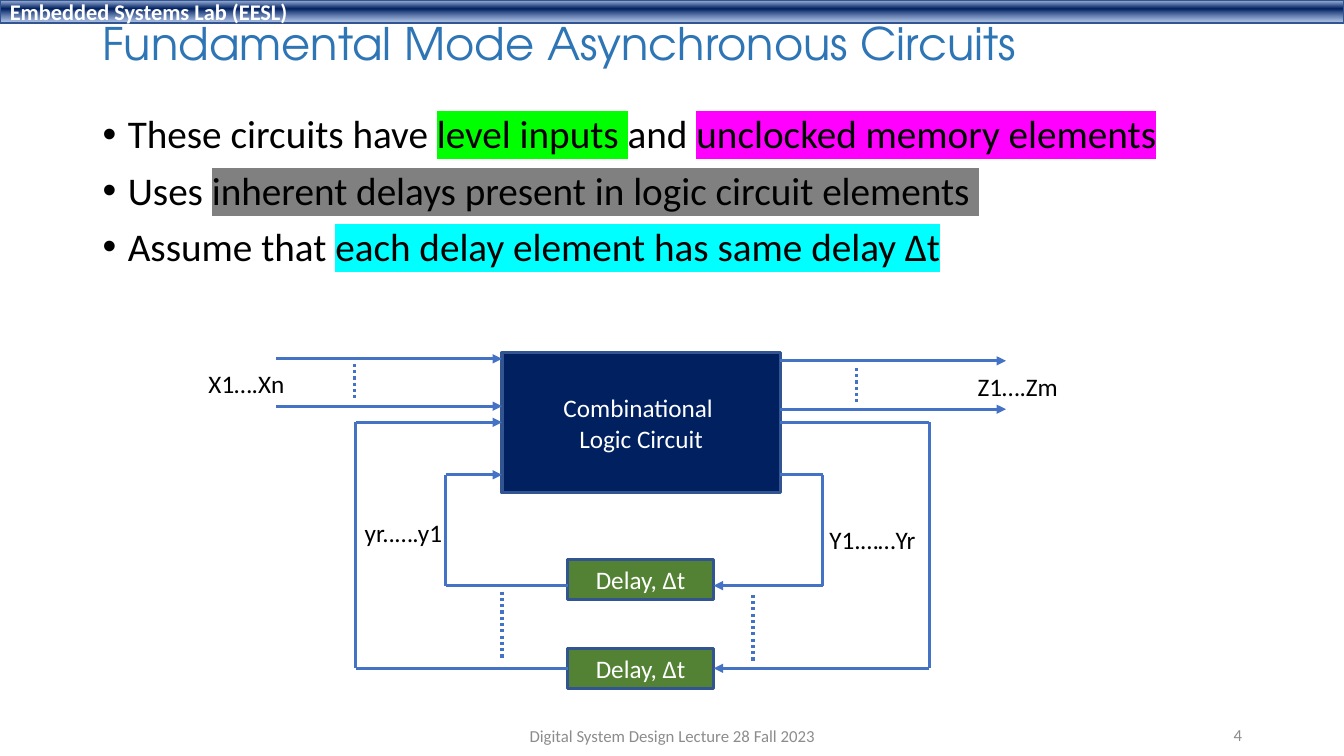
import dataclasses

import lxml.etree
import pptx
import pptx.dml.color
import pptx.enum.dml
import pptx.enum.shapes
import pptx.enum.text
import pptx.oxml
import pptx.oxml.ns
import pptx.util

qn = pptx.oxml.ns.qn
SHAPE = pptx.enum.shapes.MSO_SHAPE
ALIGN = pptx.enum.text.PP_ALIGN
ANCHOR = pptx.enum.text.MSO_ANCHOR
CELL = pptx.util.Inches(0.1)  # the slide is a grid of square cells
COLS, ROWS = 133.33, 75


@dataclasses.dataclass(frozen=True)
class Theme:
    body_font: str = "Calibri"
    title_font: str = "TeX Gyre Adventor"
    title: str = "2E75B6"
    text: str = "000000"
    light: str = "FFFFFF"
    muted: str = "8C8C8C"
    block: str = "002060"
    delay: str = "548235"
    outline: str = "325491"
    wire: str = "4472C4"
    band: tuple = ((2, "ABC0E4", 100), (38, "002060", 100), (93, "7E9ED6", 64))
    title_size: int = 32
    bullet_size: int = 28
    label_size: int = 18
    band_size: int = 16
    footer_size: int = 12
    line_width: float = 2.25


THEME = Theme()


@dataclasses.dataclass(frozen=True)
class Box:
    x: float
    y: float
    w: float
    h: float

    def inner(self, x, y, w, h):
        return Box(self.x + x, self.y + y, w, h)

    def emu(self):
        return [round(v * CELL) for v in (self.x, self.y, self.w, self.h)]


def rgb(value):
    return pptx.dml.color.RGBColor.from_string(value)


def add_run(p, text, size, color, font=THEME.body_font, bold=None, highlight=None):
    r = p.add_run()
    r.text = text
    r.font.size = pptx.util.Pt(size)
    r.font.bold = bold
    r.font.color.rgb = rgb(color)
    if highlight:
        mark = lxml.etree.SubElement(r.font._element, qn("a:highlight"))
        lxml.etree.SubElement(mark, qn("a:srgbClr"), val=highlight)
    r.font.name = font


def add_text(s, box, text, size, color, font=THEME.body_font,
             align=ALIGN.LEFT, anchor=ANCHOR.MIDDLE, wrap=True):
    tf = s.shapes.add_textbox(*box.emu()).text_frame
    tf.word_wrap = wrap
    tf.vertical_anchor = anchor
    p = tf.paragraphs[0]
    p.alignment = align
    add_run(p, text, size, color, font)
    return tf


def add_block(s, box, lines, fill, size=THEME.label_size, width=THEME.line_width,
              align=ALIGN.CENTER, bold=None):
    sp = s.shapes.add_shape(SHAPE.RECTANGLE, *box.emu())
    sp.shadow.inherit = False
    sp.fill.solid()
    sp.fill.fore_color.rgb = rgb(fill)
    sp.line.color.rgb = rgb(THEME.outline)
    sp.line.width = pptx.util.Pt(width)
    tf = sp.text_frame
    tf.vertical_anchor = ANCHOR.MIDDLE
    for i, line in enumerate(lines):
        p = tf.add_paragraph() if i else tf.paragraphs[0]
        p.alignment = align
        add_run(p, line, size, THEME.light, bold=bold)
    return sp


def add_wire(s, box, start, end, arrow=False, dotted=False):
    ends = [round(v * CELL) for x, y in (start, end) for v in (box.x + x, box.y + y)]
    wire = s.shapes.add_connector(pptx.enum.shapes.MSO_CONNECTOR.STRAIGHT, *ends)
    wire.line.color.rgb = rgb(THEME.wire)
    wire.line.width = pptx.util.Pt(THEME.line_width)
    if dotted:
        wire.line.dash_style = pptx.enum.dml.MSO_LINE.ROUND_DOT
    if arrow:
        lxml.etree.SubElement(wire.line._get_or_add_ln(), qn("a:tailEnd"), type="triangle")
    lxml.etree.SubElement(wire._element.spPr, qn("a:effectLst"))
    return wire


def header_band(s, box):
    sp = add_block(s, box, ["Embedded Systems Lab (EESL)"], THEME.block,
                   THEME.band_size, 1, ALIGN.LEFT, True)
    stops = "".join(
        f'<a:gs pos="{pos * 1000}"><a:srgbClr val="{color}">'
        f'<a:alpha val="{alpha * 1000}"/></a:srgbClr></a:gs>'
        for pos, color, alpha in THEME.band)
    gradient = pptx.oxml.parse_xml(
        f'<a:gradFill {pptx.oxml.ns.nsdecls("a")} rotWithShape="1">'
        f'<a:gsLst>{stops}</a:gsLst><a:lin ang="5400000" scaled="0"/></a:gradFill>')
    spPr = sp._element.spPr
    spPr.replace(spPr.find(qn("a:solidFill")), gradient)


def title(s, box):
    tf = add_text(s, box, "Fundamental Mode Asynchronous Circuits",
                  THEME.title_size, THEME.title, THEME.title_font)
    tf.paragraphs[0].line_spacing = 0.9


def bullets(s, box):
    points = [
        [("These circuits have ", None), ("level inputs ", "00FF00"),
         ("and ", None), ("unclocked memory elements", "FF00FF")],
        [("Uses ", None),
         ("inherent delays present in logic circuit elements ", "808080")],
        [("Assume that ", None), ("each delay element has same delay Δt", "00FFFF")],
    ]
    tf = s.shapes.add_textbox(*box.emu()).text_frame
    tf.word_wrap = True
    indent = round(2.5 * CELL)
    for i, point in enumerate(points):
        p = tf.add_paragraph() if i else tf.paragraphs[0]
        pPr = p._p.get_or_add_pPr()
        pPr.set("marL", str(indent))
        pPr.set("indent", str(-indent))
        lxml.etree.SubElement(pPr, qn("a:buFont"), typeface="Arial")
        lxml.etree.SubElement(pPr, qn("a:buChar"), char="•")
        p.line_spacing = 0.9
        if i:
            p.space_before = pptx.util.Pt(10)
        for text, highlight in point:
            add_run(p, text, THEME.bullet_size, THEME.text, highlight=highlight)


def circuit(s, box):
    left, right = 29.8, 57.4  # sides of the logic block
    delay_left, delay_w, delay_h = 36.3, 14.5, 4
    delay_right = delay_left + delay_w
    add_block(s, box.inner(left, 0, right - left, 13.9),
              ["Combinational ", "Logic Circuit"], THEME.block)

    # Feedback loops: left, right, top, bottom, top of the delay element
    loops = [(24.2, 61.6, 12.1, 23.1, 20.5), (15.3, 72.2, 6.9, 31.3, 29.3)]
    for x1, x2, top, bottom, delay_top in loops:
        delay = add_block(s, box.inner(delay_left, delay_top, delay_w, delay_h),
                          ["Delay, Δt"], THEME.delay)
        add_wire(s, box, (right, top), (x2, top))
        add_wire(s, box, (x2, top), (x2, bottom))
        into = add_wire(s, box, (x2, bottom), (delay_right, bottom), arrow=True)
        out = add_wire(s, box, (delay_left, bottom), (x1, bottom))
        add_wire(s, box, (x1, bottom), (x1, top))
        add_wire(s, box, (x1, top), (left, top), arrow=True)
        if bottom == delay_top + delay_h / 2:
            into.end_connect(delay, 3)
            out.begin_connect(delay, 1)

    # Inputs and outputs
    reach = 22.4
    for x, heights in ((left - reach, (0.6, 5.3)), (right, (0.8, 5.6))):
        for y in heights:
            add_wire(s, box, (x, y), (x + reach, y), arrow=True)

    # Dotted lines for the omitted signals
    for x, y, length in ((15.2, 1.1, 3.4), (65, 1.5, 3.4), (54.7, 24, 6.6), (left, 23.7, 6.6)):
        add_wire(s, box, (x, y), (x, y + length), dotted=True)

    # Signal names
    for text, x, y, w in (("X1….Xn", -0.3, 1.1, 9.6), ("Z1….Zm", 76, 1.3, 10),
                          ("yr..….y1", 15.2, 15.8, 9.7), ("Y1.……Yr", 61.3, 16.5, 10.6)):
        tf = add_text(s, box.inner(x, y, w, 4), text, THEME.label_size, THEME.text,
                      anchor=ANCHOR.TOP, wrap=False)
        tf.auto_size = pptx.enum.text.MSO_AUTO_SIZE.SHAPE_TO_FIT_TEXT


def footer(s, box):
    add_text(s, box.inner(35, 0.1, 45, box.h), "Digital System Design Lecture 28 Fall 2023",
             THEME.footer_size, THEME.muted, align=ALIGN.CENTER)
    add_text(s, box.inner(box.w - 30, 0, 30, box.h), "4",
             THEME.footer_size, THEME.muted, align=ALIGN.RIGHT)


def main():
    prs = pptx.Presentation()
    prs.slide_width = round(COLS * CELL)
    prs.slide_height = ROWS * CELL
    s = prs.slides.add_slide(prs.slide_layouts[6])
    header_band(s, Box(0, 0, COLS, 2.3))
    title(s, Box(9.2, 0, 115, 9.1))
    bullets(s, Box(9.2, 10.9, 115, 21.5))
    circuit(s, Box(20, 35, 86, 33.3))
    footer(s, Box(9.2, 70.9, 115, 4))
    prs.save("out.pptx")


if __name__ == "__main__":
    main()
